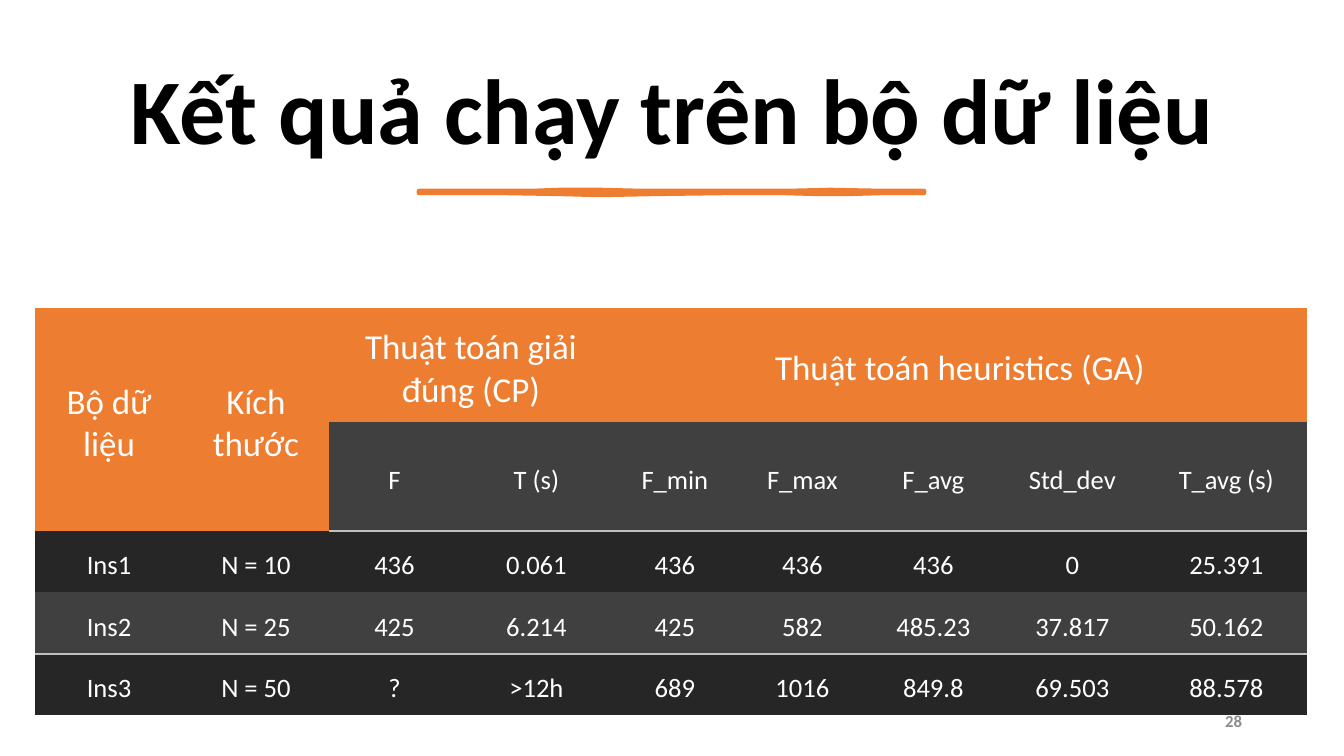
from lxml import etree
from pptx import Presentation
from pptx import util as u
from pptx.dml.color import RGBColor
from pptx.enum import text
from pptx.oxml import ns

TITLE = "Kết quả chạy trên bộ dữ liệu"
PAGE = "28"
GROUPS = [  # text, first row, first column, last row, last column
    ("Bộ dữ liệu", 0, 0, 1, 0),
    ("Kích thước", 0, 1, 1, 1),
    ("Thuật toán giải đúng (CP)", 0, 2, 0, 3),
    ("Thuật toán heuristics (GA)", 0, 4, 0, 8),
]
ROWS = [
    ("", "", "F", "T (s)", "F_min", "F_max", "F_avg", "Std_dev", "T_avg (s)"),
    ("Ins1", "N = 10", "436", "0.061", "436", "436", "436", "0", "25.391"),
    ("Ins2", "N = 25", "425", "6.214", "425", "582", "485.23", "37.817", "50.162"),
    ("Ins3", "N = 50", "?", ">12h", "689", "1016", "849.8", "69.503", "88.578"),
]
COL_WIDTHS = [148, 146, 131, 153, 124, 131, 131, 147, 161]
ROW_HEIGHTS = [114, 109, 61, 62, 61]
WAVE_TOP = [(419, 191), (477, 191), (533, 191), (560, 190), (600, 190), (640, 191),
            (682, 191), (745, 191), (790, 191), (830, 190), (880, 191), (924, 191)]
WAVE_BOTTOM = [(924, 193), (880, 193), (847, 194), (820, 194), (785, 193), (723, 193),
               (650, 194), (600, 195), (563, 194), (507, 193), (419, 193)]

FONT = "Calibri"
BLACK = RGBColor(0, 0, 0)
WHITE = RGBColor(255, 255, 255)
ORANGE = RGBColor(0xED, 0x7D, 0x31)
DARK = RGBColor(0x26, 0x26, 0x26)
GREY = RGBColor(0x40, 0x40, 0x40)
RULE = RGBColor(0xBF, 0xBF, 0xBF)
PAGE_GREY = RGBColor(0x8C, 0x8C, 0x8C)
PX = 914400 / 100.8


def px(n):
    return u.Emu(round(n * PX))


def place(sp, *box):
    sp.left, sp.top, sp.width, sp.height = map(px, box)


def write(tf, words, size, color, bold=False, align=text.PP_ALIGN.CENTER, spacing=1.0):
    tf.word_wrap = True
    p = tf.paragraphs[0]
    p.alignment, p.line_spacing = align, spacing
    r = p.add_run()
    r.text = words
    r.font.name, r.font.size, r.font.bold = FONT, u.Pt(size), bold
    r.font.color.rgb = color


def set_borders(cell, bottom=None, top=None):
    """Clear all four cell borders, except a thin rule where a colour is given."""
    props = cell._tc.get_or_add_tcPr()
    sides = [("lnL", None), ("lnR", None), ("lnT", top), ("lnB", bottom)]
    for i, (tag, color) in enumerate(sides):
        ln = etree.Element(ns.qn("a:" + tag), w=str(u.Pt(1)))
        if color is None:
            etree.SubElement(ln, ns.qn("a:noFill"))
        else:
            fill = etree.SubElement(ln, ns.qn("a:solidFill"))
            etree.SubElement(fill, ns.qn("a:srgbClr"), val=str(color))
        props.insert(i, ln)


def add_wave(s):
    points = [(px(x), px(y)) for x, y in WAVE_TOP + WAVE_BOTTOM]
    builder = s.shapes.build_freeform(*points[0])
    builder.add_line_segments(points[1:])
    sp = builder.convert_to_shape()
    sp.shadow.inherit = False
    sp.fill.solid()
    sp.fill.fore_color.rgb = sp.line.color.rgb = ORANGE
    sp.line.width = u.Pt(3.25)


def add_results(s):
    frame = s.shapes.add_table(len(ROW_HEIGHTS), len(COL_WIDTHS), px(35), px(308),
                               px(sum(COL_WIDTHS)), px(sum(ROW_HEIGHTS)))
    table = frame.table
    for col, width in zip(table.columns, COL_WIDTHS):
        col.width = px(width)
    for row, height in zip(table.rows, ROW_HEIGHTS):
        row.height = px(height)

    for i in range(len(ROW_HEIGHTS)):
        for j in range(len(COL_WIDTHS)):
            cell = table.cell(i, j)
            header = i == 0 or (i == 1 and j < 2)
            cell.fill.solid()
            cell.fill.fore_color.rgb = ORANGE if header else GREY if i % 2 else DARK
            ruled_below = i % 2 == 1 and not header
            ruled_above = i == 4 or (i == 2 and j >= 2)
            set_borders(cell, RULE if ruled_below else None, RULE if ruled_above else None)
            cell.vertical_anchor = text.MSO_ANCHOR.MIDDLE
            cell.margin_left = cell.margin_right = cell.margin_top = px(16)
            cell.margin_bottom = px(8)
            if not header:
                write(cell.text_frame, ROWS[i - 1][j], 19, WHITE)

    for words, top, left, bottom, right in GROUPS:
        cell = table.cell(top, left)
        cell.merge(table.cell(bottom, right))
        write(cell.text_frame, words, 25, WHITE)


def main():
    prs = Presentation()
    prs.slide_width, prs.slide_height = px(1344), px(756)
    s = prs.slides.add_slide(prs.slide_layouts[5])

    title = s.shapes.title
    place(title, 71, 46, 1203, 138)
    title.text_frame.vertical_anchor = text.MSO_ANCHOR.MIDDLE
    write(title.text_frame, TITLE, 66, BLACK, bold=True, spacing=0.9)

    add_wave(s)

    number = s.shapes.add_textbox(px(950), px(701), px(302), px(40))
    number.text_frame.vertical_anchor = text.MSO_ANCHOR.MIDDLE
    write(number.text_frame, PAGE, 12, PAGE_GREY, bold=True, align=text.PP_ALIGN.RIGHT)
    number.text_frame.paragraphs[0].space_after = u.Pt(6)

    add_results(s)
    prs.save("out.pptx")


if __name__ == "__main__":
    main()
